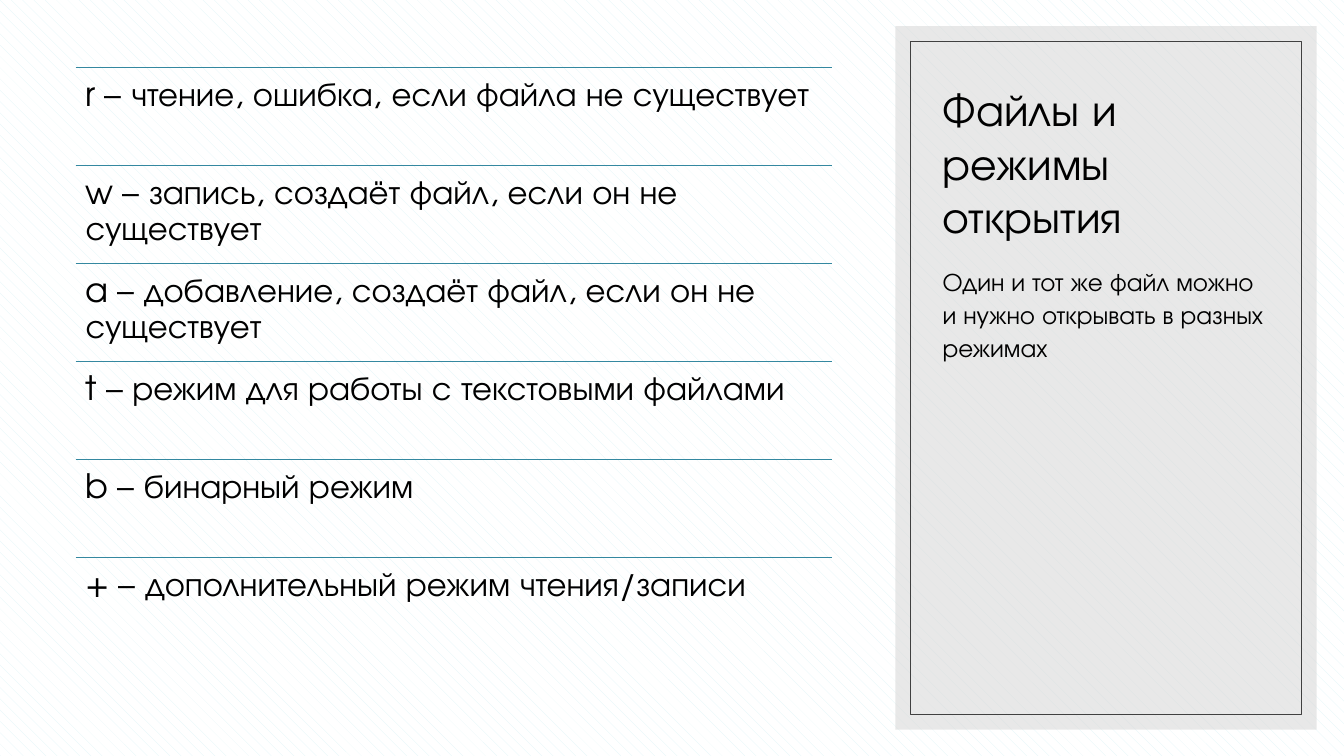
from lxml import etree
from pptx import Presentation
from pptx.dml.color import RGBColor
from pptx.enum.dml import MSO_PATTERN
from pptx.enum.shapes import MSO_CONNECTOR, MSO_SHAPE
from pptx.enum.text import MSO_ANCHOR
from pptx.oxml.ns import qn
from pptx.util import Inches, Pt

SHINGLE = MSO_PATTERN.SHINGLE
STRAIGHT = MSO_CONNECTOR.STRAIGHT
RECTANGLE = MSO_SHAPE.RECTANGLE
TOP, BOTTOM = MSO_ANCHOR.TOP, MSO_ANCHOR.BOTTOM

FONT = "TeX Gyre Adventor"
INK, RULE, FRAME, PANEL = "000000", "3488A0", "404040", "D9D9D9"
PATTERN_FORE, PATTERN_BACK = "DEF4F7", "FFFFFF"

TITLE = "Файлы и режимы открытия"
SUMMARY = "Один и тот же файл можно и нужно открывать в разных режимах"
MODES = [
    "r – чтение, ошибка, если файла не существует",
    "w – запись, создаёт файл, если он не существует",
    "a – добавление, создаёт файл, если он не существует",
    "t – режим для работы с текстовыми файлами",
    "b – бинарный режим",
    "+ – дополнительный режим чтения/записи",
]


def rgb(value):
    return RGBColor.from_string(value)


def add_text(slide, box, text, size, anchor=TOP, inset=0.05, **spacing):
    """Add one wrapped paragraph; spacing holds paragraph format values."""
    frame = slide.shapes.add_textbox(*map(Inches, box)).text_frame
    frame.word_wrap = True
    frame.vertical_anchor = anchor
    frame.margin_left = frame.margin_right = Inches(0.1)
    frame.margin_top = frame.margin_bottom = Inches(inset)
    paragraph = frame.paragraphs[0]
    for name, value in spacing.items():
        setattr(paragraph, name, value)
    run = paragraph.add_run()
    run.text = text
    run.font.name = FONT
    run.font.size = Pt(size)
    run.font.color.rgb = rgb(INK)


def add_rectangle(slide, box):
    rectangle = slide.shapes.add_shape(RECTANGLE, *map(Inches, box))
    rectangle.shadow.inherit = False
    return rectangle


def add_rule(slide, left, top, width):
    rule = slide.shapes.add_connector(
        STRAIGHT, *map(Inches, (left, top, left + width, top)))
    rule.line.color.rgb = rgb(RULE)
    rule.line.width = Pt(1)
    etree.SubElement(rule._element.spPr, qn("a:effectLst"))


def paint_background(slide):
    fill = slide.background.fill
    fill.patterned()
    fill.pattern = SHINGLE
    fill.fore_color.rgb = rgb(PATTERN_FORE)
    fill.back_color.rgb = rgb(PATTERN_BACK)


def add_mode_list(slide, box, modes):
    """Split the box into equal rows, each with a rule above its text."""
    left, top, width, height = box
    row_height = height / len(modes)
    for row, mode in enumerate(modes):
        row_top = top + row * row_height
        add_rule(slide, left, row_top, width)
        add_text(slide, (left, row_top, width, row_height), mode, 24,
                 inset=0.1, line_spacing=0.9)


def add_side_panel(slide, box, title, summary):
    """Place a translucent panel, an inner frame, a title and a summary."""
    left, top, width, height = box
    panel = add_rectangle(slide, box)
    panel.fill.solid()
    panel.fill.fore_color.rgb = rgb(PANEL)
    color = panel.fill._xPr.find(qn("a:solidFill"))[0]
    etree.SubElement(color, qn("a:alpha"), val="60000")
    panel.line.fill.background()

    gap = 0.15
    frame = add_rectangle(
        slide, (left + gap, top + gap, width - 2 * gap, height - 2 * gap))
    frame.fill.background()
    frame.line.color.rgb = rgb(FRAME)
    frame.line.width = Pt(0.5)

    text_left, text_width = left + 0.37, width - 0.72
    add_text(slide, (text_left, top + 0.4, text_width, 1.8), title, 32,
             anchor=BOTTOM)
    add_text(slide, (text_left, top + 2.3, text_width, 3.94), summary, 18,
             line_spacing=1.1, space_before=Pt(8))


def main():
    deck = Presentation()
    deck.slide_width, deck.slide_height = Inches(13.33), Inches(7.5)
    slide = deck.slides.add_slide(deck.slide_layouts[6])
    paint_background(slide)
    add_side_panel(slide, (8.88, 0.26, 4.18, 6.98), TITLE, SUMMARY)
    add_mode_list(slide, (0.75, 0.67, 7.5, 5.83), MODES)
    deck.save("out.pptx")


if __name__ == "__main__":
    main()
